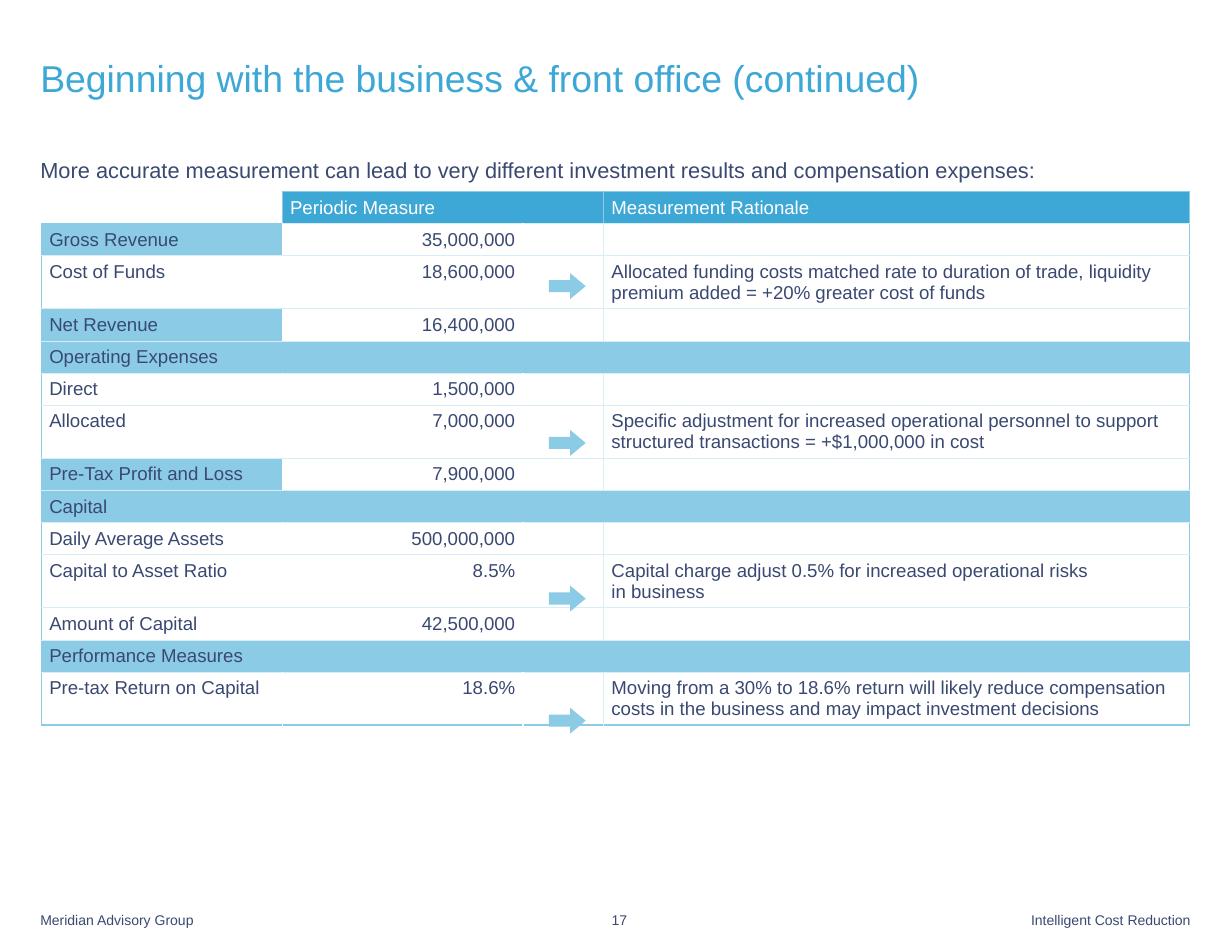
from dataclasses import dataclass

import pptx
import pptx.dml.color
import pptx.enum.shapes
import pptx.enum.text
import pptx.oxml.ns
import pptx.util
from lxml import etree

Inches = pptx.util.Inches
Align = pptx.enum.text.PP_ALIGN
Anchor = pptx.enum.text.MSO_ANCHOR


@dataclass(frozen=True)
class Theme:
    font: str = "Arial"
    ink: str = "3A4972"
    accent: str = "3DA8D5"
    band: str = "8BCBE6"
    rule: str = "D8EEF7"
    white: str = "FFFFFF"
    title_size: int = 24
    body_size: int = 14
    table_size: int = 12
    footer_size: int = 9


@dataclass(frozen=True)
class Measure:
    label: str
    value: str = ""
    rationale: str = ""
    shaded: bool = False

    @property
    def is_section(self) -> bool:
        return not self.value


@dataclass(frozen=True)
class Footer:
    text: str
    left: float
    width: float
    align: Align


THEME = Theme()
COLUMNS = (2.15, 2.15, 0.72, 5.23)
SINGLE_ROW, DOUBLE_ROW = 0.28, 0.47
ARROW_TOPS = (2.44, 3.84, 5.23, 6.32)

MEASURES = (
    Measure("Gross Revenue", "35,000,000", shaded=True),
    Measure("Cost of Funds", "18,600,000",
            "Allocated funding costs matched rate to duration of trade, liquidity "
            "premium added = +20% greater cost of funds"),
    Measure("Net Revenue", "16,400,000", shaded=True),
    Measure("Operating Expenses", shaded=True),
    Measure("Direct", "1,500,000"),
    Measure("Allocated", "7,000,000",
            "Specific adjustment for increased operational personnel to support "
            "structured transactions = +$1,000,000 in cost"),
    Measure("Pre-Tax Profit and Loss", "7,900,000", shaded=True),
    Measure("Capital", shaded=True),
    Measure("Daily Average Assets", "500,000,000"),
    Measure("Capital to Asset Ratio", "8.5%",
            "Capital charge adjust 0.5% for increased operational risks\vin business"),
    Measure("Amount of Capital", "42,500,000"),
    Measure("Performance Measures", shaded=True),
    Measure("Pre-tax Return on Capital", "18.6%",
            "Moving from a 30% to 18.6% return will likely reduce compensation "
            "costs in the business and may impact investment decisions"),
)

FOOTERS = (
    Footer("Meridian Advisory Group", 0.36, 2.6, Align.LEFT),
    Footer("17", 5.3, 0.3, Align.RIGHT),
    Footer("Intelligent Cost Reduction", 8.03, 2.6, Align.RIGHT),
)


def rgb(color: str) -> pptx.dml.color.RGBColor:
    return pptx.dml.color.RGBColor.from_string(color)


def style_paragraph(para, size: int, color: str, align: Align = Align.LEFT) -> None:
    para.alignment = align
    para.font.name = THEME.font
    para.font.size = pptx.util.Pt(size)
    para.font.color.rgb = rgb(color)


def write_box(box, text: str, size: int, color: str,
              align: Align = Align.LEFT, anchor: Anchor = Anchor.TOP) -> None:
    frame = box.text_frame
    frame.word_wrap = True
    frame.vertical_anchor = anchor
    frame.margin_left = frame.margin_right = frame.margin_top = frame.margin_bottom = 0
    frame.text = text
    style_paragraph(frame.paragraphs[0], size, color, align)


def place(box, left: float, top: float, width: float, height: float) -> None:
    box.left, box.top = Inches(left), Inches(top)
    box.width, box.height = Inches(width), Inches(height)


def remove_bullet(para) -> None:
    properties = para._p.get_or_add_pPr()
    properties.set("marL", "0")
    properties.set("indent", "0")
    properties.insert_element_before(
        properties.makeelement(pptx.oxml.ns.qn("a:buNone")),
        "a:tabLst", "a:defRPr", "a:extLst")


def write_cell(cell, text: str, color: str, align: Align = Align.LEFT) -> None:
    cell.margin_left = cell.margin_right = Inches(0.07)
    cell.margin_top = cell.margin_bottom = Inches(0.05)
    cell.text = text
    style_paragraph(cell.text_frame.paragraphs[0], THEME.table_size, color, align)


def fill_cell(cell, color: str) -> None:
    if color:
        cell.fill.solid()
        cell.fill.fore_color.rgb = rgb(color)
    else:
        cell.fill.background()


def border_cell(cell, edges: dict[str, str]) -> None:
    properties = cell._tc.get_or_add_tcPr()
    sides = [side for side in ("L", "R", "T", "B") if side in edges]
    for position, side in enumerate(sides):
        color = edges[side]
        points = 1 if color == THEME.band else 0.5
        line = etree.Element(pptx.oxml.ns.qn(f"a:ln{side}"), w=str(pptx.util.Pt(points)))
        fill = etree.SubElement(line, pptx.oxml.ns.qn("a:solidFill"))
        etree.SubElement(fill, pptx.oxml.ns.qn("a:srgbClr"), val=color)
        properties.insert(position, line)


def cell_edges(row: int, column: int, section: bool) -> dict[str, str]:
    if row == 0 and column == 0:
        return {"R": THEME.band, "B": THEME.band}
    last_row = row == len(MEASURES)
    top_outer = row == 0 or (row == 1 and column == 0)
    edges = {"T": THEME.band if top_outer else THEME.rule,
             "B": THEME.band if last_row else THEME.rule}
    if column == 0 or (row == 0 and column == 1):
        edges["L"] = THEME.band
    elif column == 3 and not section:
        edges["L"] = THEME.rule
    if column == 3 or (section and column == 0):
        edges["R"] = THEME.band
    elif column == 2 and not section:
        edges["R"] = THEME.rule
    return edges


def draw_table(page) -> None:
    heights = [SINGLE_ROW] + [DOUBLE_ROW if m.rationale else SINGLE_ROW for m in MEASURES]
    table = page.shapes.add_table(
        len(heights), len(COLUMNS), Inches(0.37), Inches(1.71),
        Inches(sum(COLUMNS)), Inches(sum(heights))).table
    table.first_row = table.horz_banding = False
    for column, width in zip(table.columns, COLUMNS):
        column.width = Inches(width)
    for row, height in zip(table.rows, heights):
        row.height = Inches(height)

    for column, text in enumerate(("", "Periodic Measure", "", "Measurement Rationale")):
        cell = table.cell(0, column)
        write_cell(cell, text, THEME.white)
        fill_cell(cell, THEME.accent if column else "")
        border_cell(cell, cell_edges(0, column, False))
    table.cell(0, 1).merge(table.cell(0, 2))

    for row, measure in enumerate(MEASURES, start=1):
        texts = (measure.label, measure.value, "", measure.rationale)
        for column, text in enumerate(texts):
            cell = table.cell(row, column)
            write_cell(cell, text, THEME.ink, Align.RIGHT if column == 1 else Align.LEFT)
            shaded = measure.is_section or (measure.shaded and column == 0)
            fill_cell(cell, THEME.band if shaded else "")
            border_cell(cell, cell_edges(row, column, measure.is_section))
        if measure.is_section:
            table.cell(row, 0).merge(table.cell(row, 3))


def draw_arrow(page, top: float) -> None:
    arrow = page.shapes.add_shape(
        pptx.enum.shapes.MSO_SHAPE.RIGHT_ARROW,
        Inches(4.9), Inches(top), Inches(0.33), Inches(0.23))
    arrow.adjustments[0], arrow.adjustments[1] = 0.47, 0.6
    arrow.shadow.inherit = False
    arrow.fill.solid()
    arrow.fill.fore_color.rgb = rgb(THEME.band)
    arrow.line.fill.background()


def draw_footer(page, footer: Footer) -> None:
    box = page.shapes.add_textbox(
        Inches(footer.left), Inches(8.09), Inches(footer.width), Inches(0.2))
    write_box(box, footer.text, THEME.footer_size, THEME.ink, footer.align, Anchor.BOTTOM)


def main() -> None:
    deck = pptx.Presentation()
    deck.slide_width, deck.slide_height = Inches(11), Inches(8.5)
    page = deck.slides.add_slide(deck.slide_layouts[1])
    title, body = page.shapes.title, page.placeholders[1]
    place(title, 0.36, 0.49, 10.28, 0.4)
    write_box(title, "Beginning with the business & front office (continued)",
              THEME.title_size, THEME.accent)
    place(body, 0.36, 1.4, 10.27, 6.5)
    write_box(body, "More accurate measurement can lead to very different investment "
              "results and compensation expenses:", THEME.body_size, THEME.ink)
    remove_bullet(body.text_frame.paragraphs[0])
    draw_table(page)
    for top in ARROW_TOPS:
        draw_arrow(page, top)
    for footer in FOOTERS:
        draw_footer(page, footer)
    deck.save("out.pptx")


if __name__ == "__main__":
    main()
